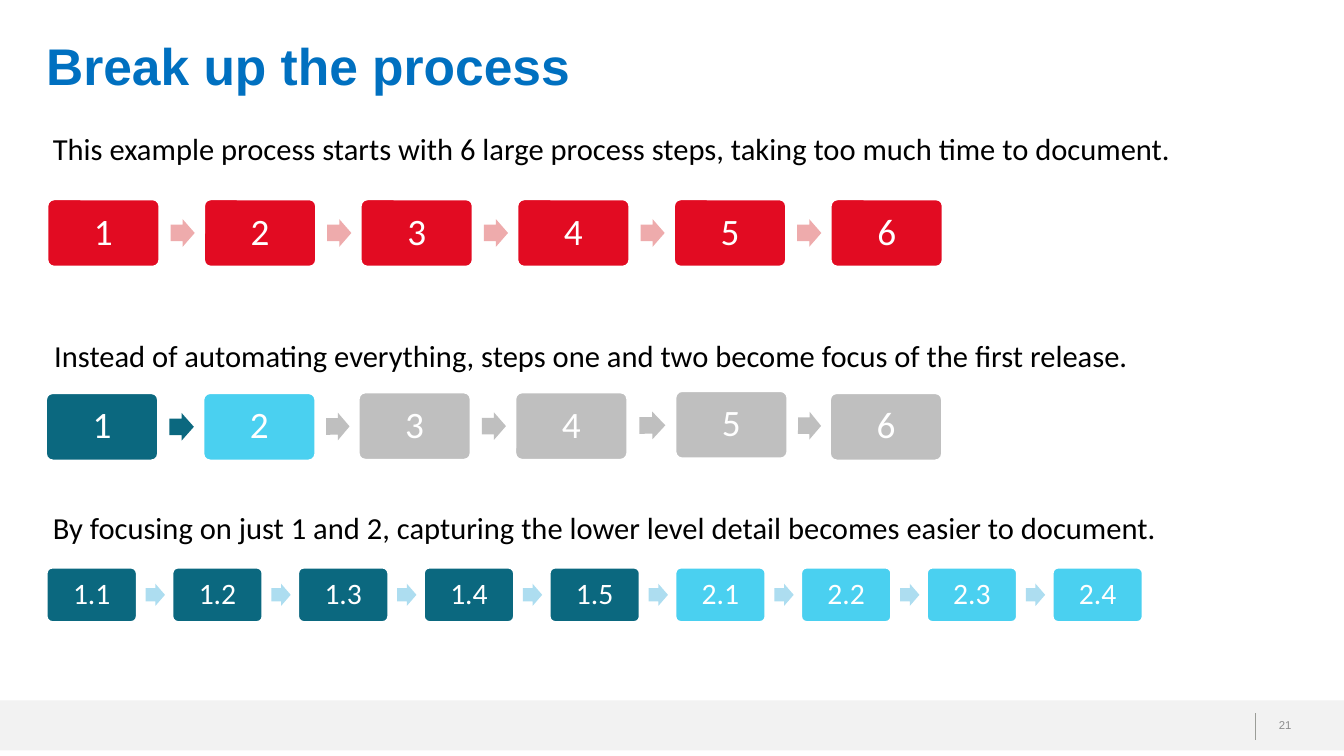
from math import atan2, degrees

from lxml import etree
from pptx import Presentation
from pptx.dml.color import RGBColor
from pptx.enum.shapes import MSO_CONNECTOR, MSO_SHAPE
from pptx.enum.text import MSO_ANCHOR as ANCHOR, PP_ALIGN as ALIGN
from pptx.oxml.ns import qn
from pptx.util import Inches, Pt

WHITE = RGBColor(0xFF, 0xFF, 0xFF)
BLACK = RGBColor(0x00, 0x00, 0x00)
BLUE = RGBColor(0x00, 0x70, 0xC0)
RED = RGBColor(0xE2, 0x0B, 0x22)
PINK = RGBColor(0xEE, 0xAB, 0xAC)
TEAL = RGBColor(0x0B, 0x68, 0x7F)
CYAN = RGBColor(0x4A, 0xD0, 0xF0)
PALE_BLUE = RGBColor(0xAD, 0xDD, 0xF0)
GREY = RGBColor(0xBF, 0xBF, 0xBF)
BAND = RGBColor(0xF2, 0xF2, 0xF2)
RULE = RGBColor(0x9B, 0x9D, 0x98)
NUMBER = RGBColor(0x8C, 0x8C, 0x8C)


def add_shape(kind, left, top, width, height, fill):
    s = slide.shapes.add_shape(kind, Inches(left), Inches(top), Inches(width), Inches(height))
    s.shadow.inherit = False
    s.fill.solid()
    s.fill.fore_color.rgb = fill
    s.line.fill.background()
    return s


def write(tf, text, size, font, color, align=ALIGN.LEFT, bold=False, **frame):
    for name, value in frame.items():
        setattr(tf, name, value)
    p = tf.paragraphs[0]
    p.alignment = align
    r = p.add_run()
    r.text = text
    for name, value in {"size": Pt(size), "name": font, "bold": bold}.items():
        setattr(r.font, name, value)
    r.font.color.rgb = color
    return p


prs = Presentation()
prs.slide_width, prs.slide_height = Inches(19.56), Inches(11)
slide = prs.slides.add_slide(prs.slide_layouts[5])

# Footer band, rule and slide number
add_shape(MSO_SHAPE.RECTANGLE, 0, 10.19, 19.56, 0.73, BAND)
rule = slide.shapes.add_connector(
    MSO_CONNECTOR.STRAIGHT, Inches(18.27), Inches(10.38), Inches(18.27), Inches(10.77))
rule.line.color.rgb = RULE
rule.line.width = Pt(1)
etree.SubElement(rule._element.spPr, qn("a:effectLst"))
number = slide.shapes.add_textbox(Inches(18.27), Inches(10.25), Inches(0.87), Inches(0.59))
write(number.text_frame, "21", 11.9, "Arial", NUMBER, ALIGN.CENTER,
      word_wrap=True, vertical_anchor=ANCHOR.MIDDLE)

# Title
title = slide.shapes.title
title.left, title.top = Inches(0.67), Inches(0.46)
title.width, title.height = Inches(17.6), Inches(0.93)
write(title.text_frame, "Break up the process", 54, "Arial", BLUE, bold=True,
      margin_left=0, margin_top=0, margin_bottom=0, vertical_anchor=ANCHOR.BOTTOM)

# Captions
captions = [
    (0.67, 1.84, 16.64, "This example process starts with 6 large process steps, "
                        "taking too much time to document."),
    (0.69, 4.86, 15.88, "Instead of automating everything, steps one and two "
                        "become focus of the first release."),
    (0.67, 7.36, 16.64, "By focusing on just 1 and 2, capturing the lower level "
                        "detail becomes easier to document."),
]
for left, top, width, text in captions:
    s = slide.shapes.add_textbox(Inches(left), Inches(top), Inches(width), Inches(0.64))
    write(s.text_frame, text, 32, "Calibri", BLACK, word_wrap=False)

# Process rows: labels, box colours, arrow colours, box positions, box size, text size
large_steps = ["1", "2", "3", "4", "5", "6"]
small_steps = ["1.1", "1.2", "1.3", "1.4", "1.5", "2.1", "2.2", "2.3", "2.4"]
rows = [
    (large_steps, [RED] * 6, [PINK] * 5,
     [(0.69 + 2.28 * i, 2.9) for i in range(6)], (1.63, 0.98), 39),
    (large_steps, [TEAL, CYAN] + [GREY] * 4, [TEAL] + [GREY] * 4,
     [(0.67, 5.72), (2.96, 5.72), (5.22, 5.71), (7.5, 5.71), (9.83, 5.69), (12.08, 5.72)],
     (1.63, 0.98), 39),
    (small_steps, [TEAL] * 5 + [CYAN] * 4, [PALE_BLUE] * 8,
     [(0.68 + 1.83 * i, 8.26) for i in range(9)], (1.31, 0.79), 31),
]
for labels, fills, arrow_fills, places, (width, height), size in rows:
    for label, fill, (left, top) in zip(labels, fills, places):
        s = add_shape(MSO_SHAPE.ROUNDED_RECTANGLE, left, top, width, height, fill)
        s.adjustments[0] = 0.1
        s.line.color.rgb = WHITE
        s.line.width = Pt(2)
        p = write(s.text_frame, label, size, "Calibri", WHITE, ALIGN.CENTER,
                  word_wrap=True, vertical_anchor=ANCHOR.MIDDLE)
        p.line_spacing = 0.9

    # Each arrow sits in the gap and points from one box to the next
    for fill, (x1, y1), (x2, y2) in zip(arrow_fills, places, places[1:]):
        gap = x2 - x1 - width
        arrow_height = 0.41 * height
        middle = (y1 + y2 + height) / 2
        s = add_shape(MSO_SHAPE.RIGHT_ARROW, x1 + width + 0.25 * gap,
                      middle - arrow_height / 2, 0.54 * gap, arrow_height, fill)
        s.adjustments[0], s.adjustments[1] = 0.6, 0.5
        s.rotation = degrees(atan2(y2 - y1, x2 - x1))

prs.save("out.pptx")
